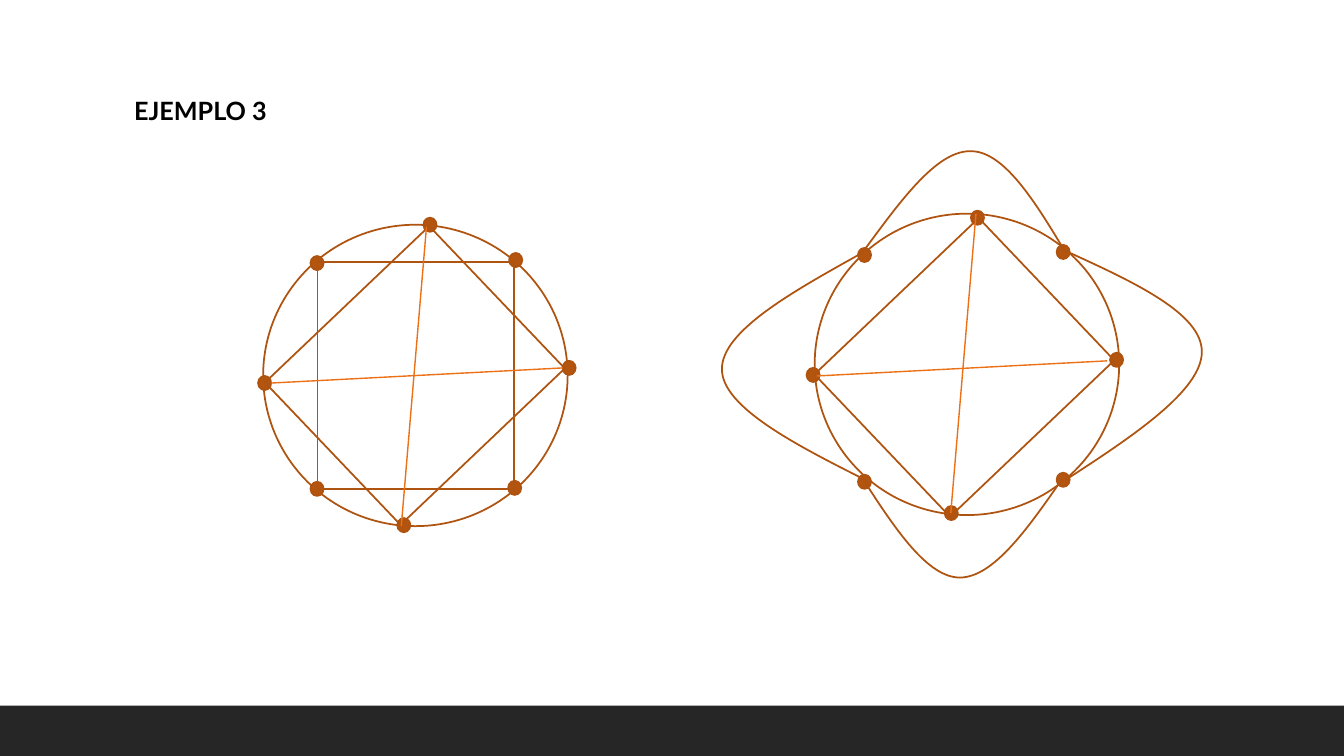
from dataclasses import dataclass

from lxml.etree import SubElement
from pptx import Presentation
from pptx.dml.color import RGBColor
from pptx.enum.shapes import MSO_CONNECTOR as Connector, MSO_SHAPE as Preset
from pptx.enum.text import MSO_ANCHOR as Anchor, MSO_AUTO_SIZE as AutoSize, PP_ALIGN as Align
from pptx.oxml.ns import qn
from pptx.util import Inches, Pt


@dataclass(frozen=True)
class Theme:
    bar: RGBColor = RGBColor.from_string("262626")
    edge: RGBColor = RGBColor.from_string("AF5310")
    vertex: RGBColor = RGBColor.from_string("B3540F")
    chord: RGBColor = RGBColor.from_string("EC7016")
    text: RGBColor = RGBColor.from_string("000000")
    font: str = "Lato"
    title_size: float = 18
    edge_width: float = 1.25
    chord_width: float = 1


THEME = Theme()
VERTEX_SIZE = (0.13, 0.14)
SQUARE_SIZE = (1.95, 2.25)
RING_SIZE = (3.02, 2.99)
TILT = 46.4

GRAPHS = [
    {
        "ring": (2.61, 2.23),
        "vertices": [(5.58, 3.58), (5.04, 4.77), (3.08, 4.78), (5.05, 2.51),
                     (3.94, 5.14), (4.2, 2.16), (2.56, 3.73), (3.08, 2.54)],
        "squares": [(3.15, 2.6, 0), (3.14, 2.6, TILT)],
        "chords": [((4.23, 2.25), (3.98, 5.22)), ((2.69, 3.8), (5.58, 3.65))],
        "curves": [],
    },
    {
        "ring": (8.08, 2.12),
        "vertices": [(11.01, 3.5), (10.48, 4.69), (8.51, 4.71), (10.48, 2.43),
                     (9.63, 2.09), (8, 3.65), (8.51, 2.46), (9.37, 5.02)],
        "squares": [(8.59, 2.52, TILT)],
        "chords": [((8.1, 3.73), (10.98, 3.58)), ((9.68, 2.12), (9.43, 5.09))],
        "curves": [
            [(8.55, 2.51), (8.92, 2.01), (9.28, 1.5), (9.62, 1.5),
             (9.95, 1.49), (10.26, 1.99), (10.56, 2.49)],
            [(10.57, 2.49), (11.25, 2.8), (11.92, 3.11), (11.92, 3.49),
             (11.92, 3.87), (11.25, 4.32), (10.57, 4.76)],
            [(8.57, 4.77), (8.88, 5.25), (9.2, 5.73), (9.52, 5.73),
             (9.85, 5.73), (10.19, 5.25), (10.53, 4.76)],
            [(8.55, 2.51), (7.85, 2.9), (7.15, 3.29), (7.16, 3.67),
             (7.17, 4.04), (7.88, 4.41), (8.6, 4.77)],
        ],
    },
]


def apply_format(target, values):
    for name, value in values.items():
        setattr(target, name, value)


def style_shape(shape, fill=None, line=None):
    shape.shadow.inherit = False
    if fill is None:
        shape.fill.background()
    else:
        shape.fill.solid()
        shape.fill.fore_color.rgb = fill
    if line is None:
        shape.line.fill.background()
    else:
        shape.line.color.rgb = line
        shape.line.width = Pt(THEME.edge_width)


def add_preset(slide, preset, position, size, fill=None, line=None, rotation=0):
    shape = slide.shapes.add_shape(preset, *map(Inches, (*position, *size)))
    shape.rotation = rotation
    style_shape(shape, fill, line)


def add_chord(slide, start, end):
    chord = slide.shapes.add_connector(Connector.STRAIGHT, *map(Inches, (*start, *end)))
    chord.line.color.rgb = THEME.chord
    chord.line.width = Pt(THEME.chord_width)
    SubElement(chord._element.spPr, qn("a:effectLst"))


def add_curve(slide, points):
    start, *rest = [(Inches(x), Inches(y)) for x, y in points]
    builder = slide.shapes.build_freeform(*start)
    builder.add_line_segments(rest, close=False)
    shape = builder.convert_to_shape()
    outline = next(shape._element.iter(qn("a:path")))
    segments = outline.findall(qn("a:lnTo"))
    for first in range(0, len(segments), 3):
        bezier = SubElement(outline, qn("a:cubicBezTo"))
        for segment in segments[first:first + 3]:
            bezier.append(segment[0])
            outline.remove(segment)
    style_shape(shape, line=THEME.edge)


def add_graph(slide, graph):
    add_preset(slide, Preset.OVAL, graph["ring"], RING_SIZE, line=THEME.edge)
    for position in graph["vertices"]:
        add_preset(slide, Preset.OVAL, position, VERTEX_SIZE, THEME.vertex, THEME.edge)
    for points in graph["curves"]:
        add_curve(slide, points)
    for left, top, rotation in graph["squares"]:
        add_preset(slide, Preset.RECTANGLE, (left, top), SQUARE_SIZE,
                   line=THEME.edge, rotation=rotation)
    for start, end in graph["chords"]:
        add_chord(slide, start, end)


def set_title(slide, text):
    title = slide.shapes.title
    apply_format(title, {"left": Inches(1.23), "top": Inches(0.9),
                         "width": Inches(4.65), "height": Inches(0.4)})
    frame = title.text_frame
    frame.text = text
    apply_format(frame, {"word_wrap": True, "vertical_anchor": Anchor.TOP,
                         "auto_size": AutoSize.SHAPE_TO_FIT_TEXT})
    paragraph = frame.paragraphs[0]
    paragraph.alignment = Align.LEFT
    font = paragraph.runs[0].font
    apply_format(font, {"name": THEME.font, "size": Pt(THEME.title_size), "bold": True})
    font.color.rgb = THEME.text


def main():
    presentation = Presentation()
    apply_format(presentation, {"slide_width": Inches(13.33), "slide_height": Inches(7.5)})
    slide = presentation.slides.add_slide(presentation.slide_layouts[5])
    set_title(slide, "EJEMPLO 3")
    add_preset(slide, Preset.RECTANGLE, (0, 7), (13.33, 0.5), fill=THEME.bar)
    for graph in GRAPHS:
        add_graph(slide, graph)
    presentation.save("out.pptx")


if __name__ == "__main__":
    main()
